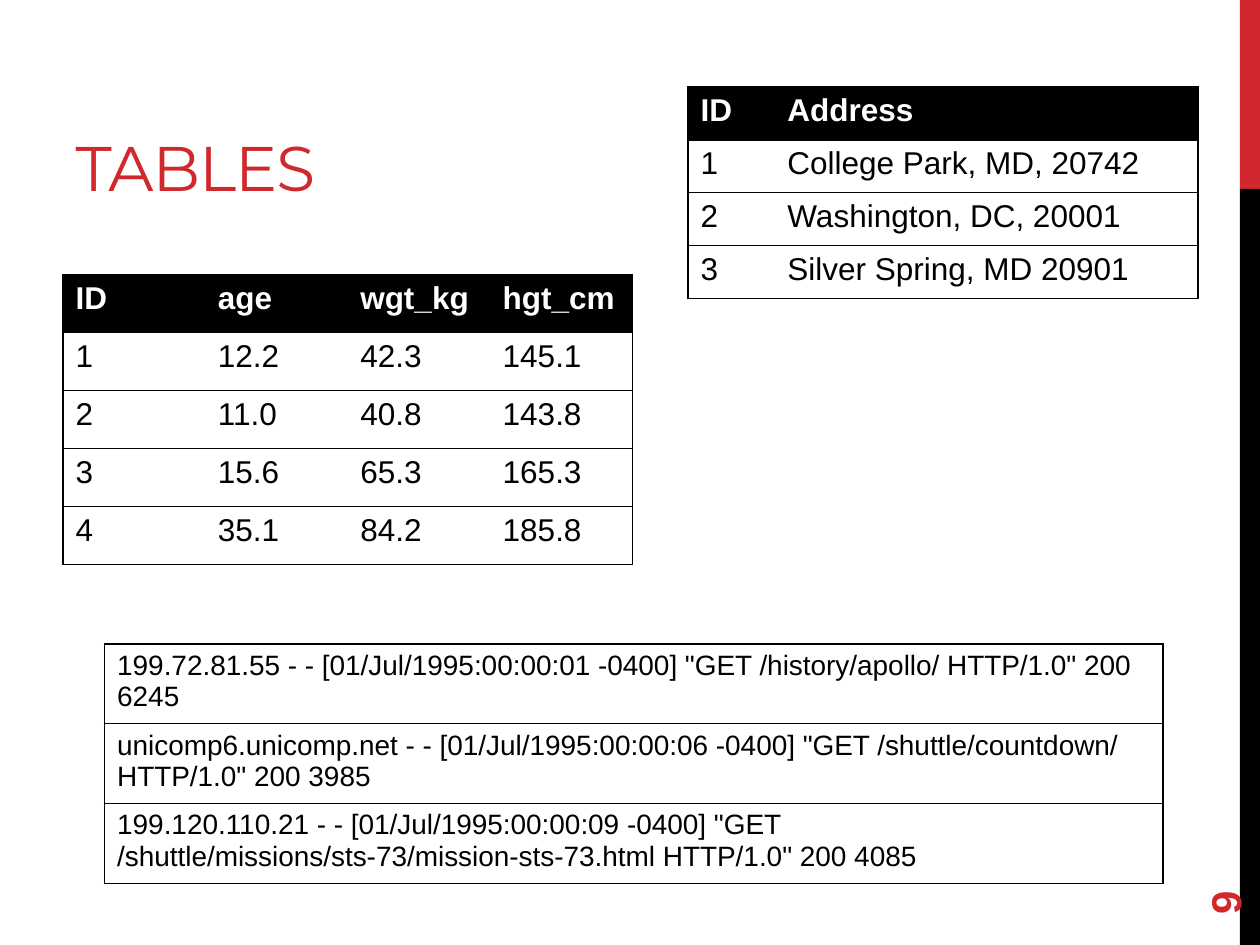
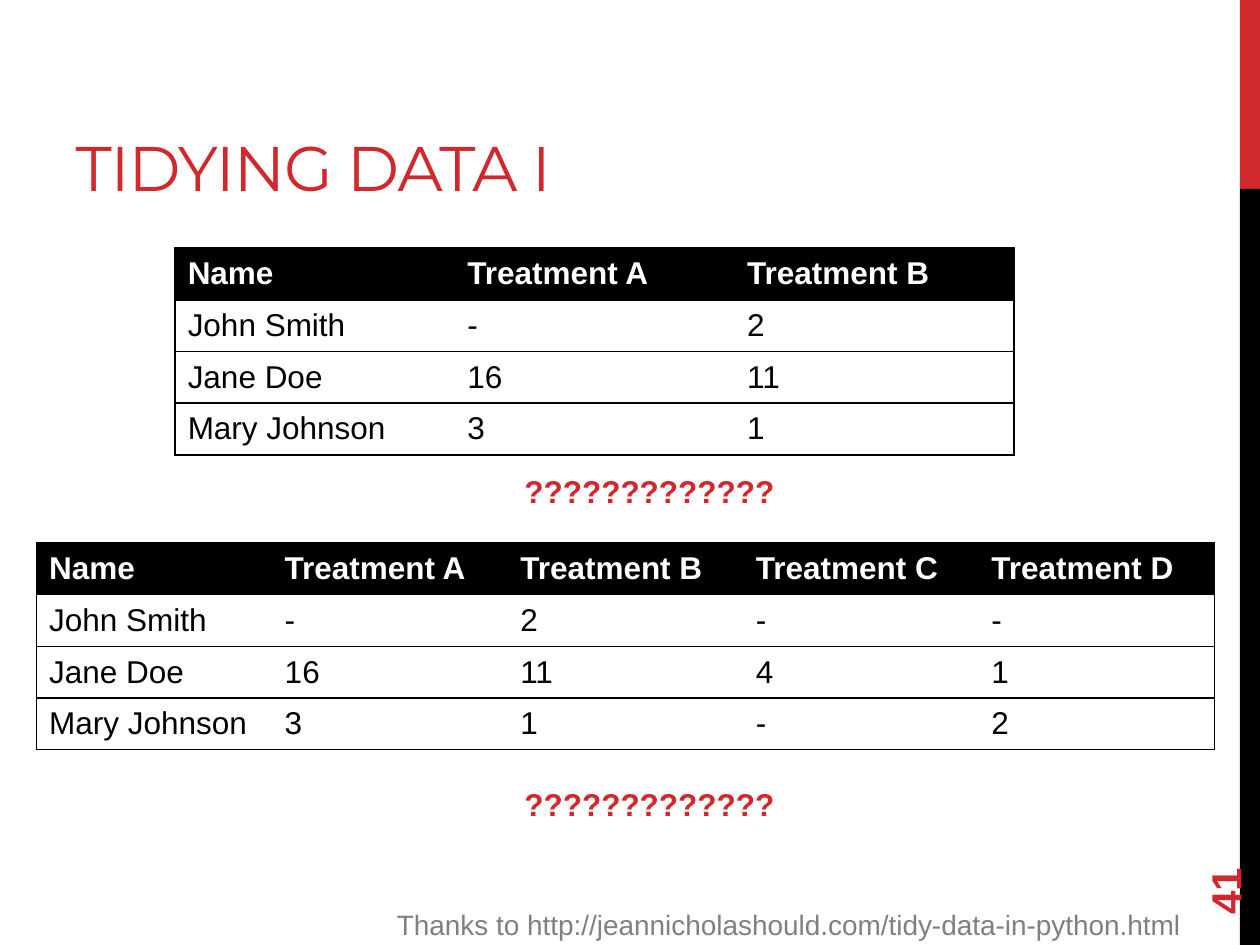
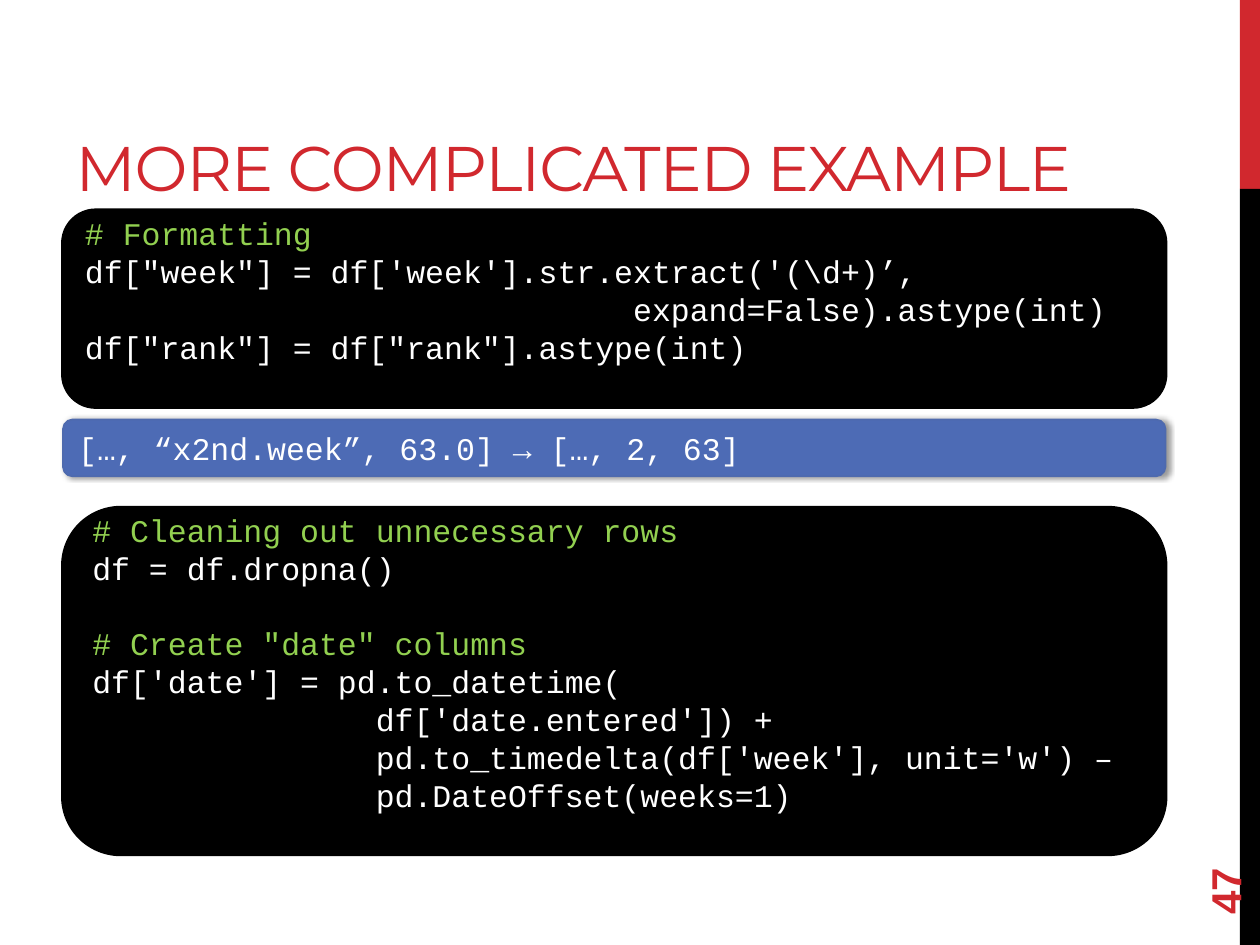
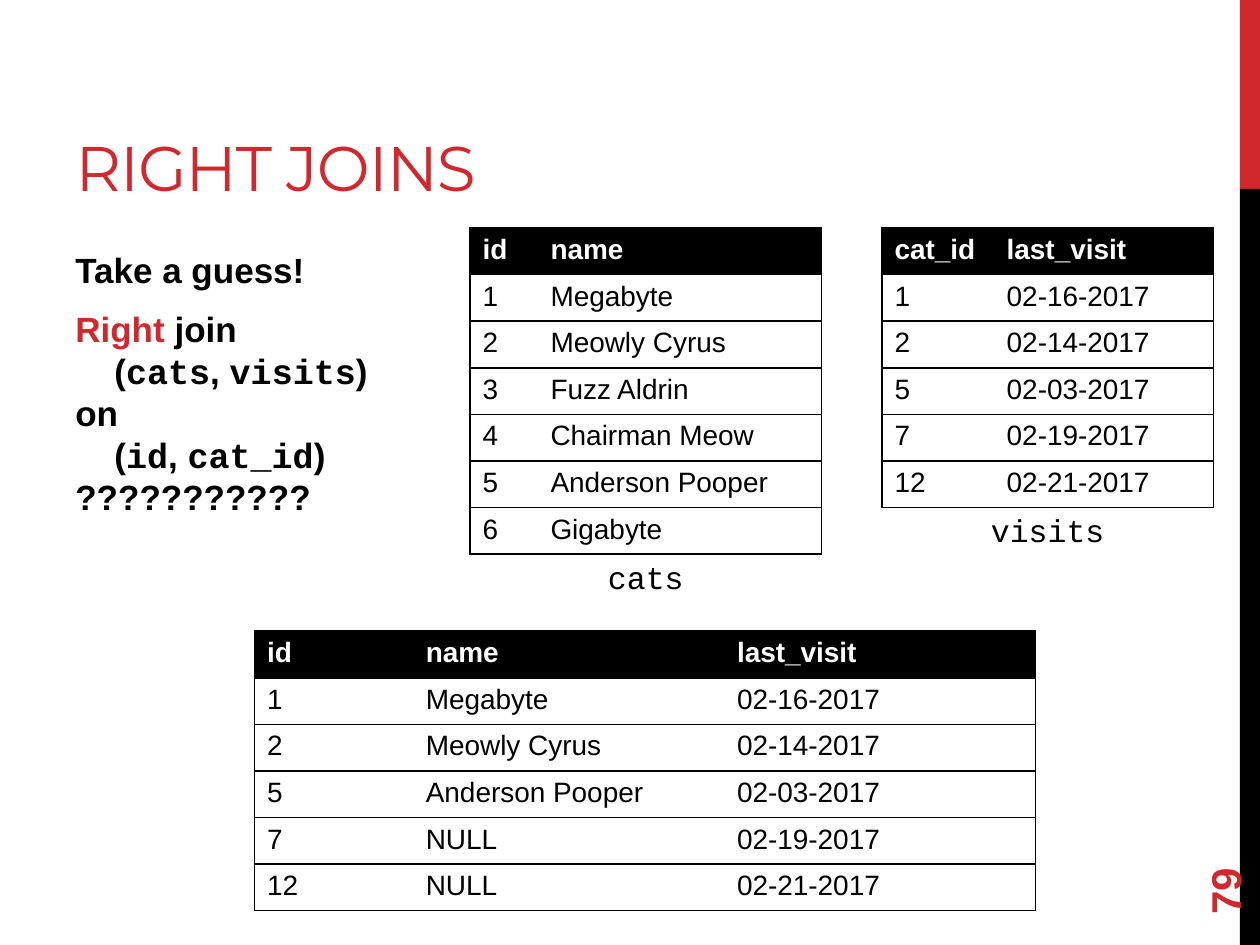
import dataclasses

import lxml.etree
import pptx
import pptx.dml.color
import pptx.enum.shapes
import pptx.enum.text
import pptx.oxml.ns
import pptx.util

Inches = pptx.util.Inches
Pt = pptx.util.Pt
qn = pptx.oxml.ns.qn
ALIGN = pptx.enum.text.PP_ALIGN
ANCHOR = pptx.enum.text.MSO_ANCHOR
FIT = pptx.enum.text.MSO_AUTO_SIZE
SHAPE = pptx.enum.shapes.MSO_SHAPE


@dataclasses.dataclass(frozen=True)
class Theme:
    red: str = "D1282E"
    black: str = "000000"
    white: str = "FFFFFF"
    gray: str = "808080"
    green: str = "92D050"
    blue: str = "4D6BB5"
    blue_edge: str = "4E6AAE"
    title_font: str = "Montserrat"
    text_font: str = "Arial"
    code_font: str = "Courier New"
    title_size: int = 36
    number_size: int = 24
    lead_size: int = 20
    body_size: int = 18
    small_size: int = 16


theme = Theme()
rgb = pptx.dml.color.RGBColor.from_string


def write(frame, lines, size=theme.body_size, font=theme.text_font, color=theme.black,
          bold=False, align=ALIGN.LEFT, anchor=ANCHOR.TOP):
    """Fill a frame; a line is a list of (text, changes) runs."""
    frame.word_wrap = True
    frame.vertical_anchor = anchor
    for index, line in enumerate(lines):
        para = frame.paragraphs[0] if index == 0 else frame.add_paragraph()
        para.alignment = align
        for text, changes in line:
            span = para.add_run()
            span.text = text
            span.font.size = Pt(size)
            span.font.bold = bold
            span.font.name = changes.get("font", font)
            span.font.color.rgb = rgb(changes.get("color", color))


def add_grid(page, left, top, widths, row_height, rows, size=theme.body_size,
             header=True, anchor=ANCHOR.TOP):
    """Add a table with a black header, row rules and an outer frame."""
    table = page.shapes.add_table(
        len(rows), len(widths), Inches(left), Inches(top),
        Inches(sum(widths)), Inches(row_height * len(rows))).table
    table.first_row = header
    table.horz_banding = False
    for column, width in zip(table.columns, widths):
        column.width = Inches(width)
    for r, row in enumerate(rows):
        table.rows[r].height = Inches(row_height)
        for c, text in enumerate(row):
            cell = table.cell(r, c)
            is_head = header and r == 0
            write(cell.text_frame, [[(text, {})]], size, bold=is_head,
                  color=theme.white if is_head else theme.black)
            cell.vertical_anchor = anchor
            # Borders come before the fill
            visible = {"lnL": c == 0, "lnR": c == len(widths) - 1, "lnT": True, "lnB": True}
            for side, shown in visible.items():
                edge = lxml.etree.SubElement(cell._tc.get_or_add_tcPr(), qn("a:" + side),
                                             w=str(Pt(1)))
                paint = lxml.etree.SubElement(edge, qn("a:solidFill" if shown else "a:noFill"))
                if shown:
                    lxml.etree.SubElement(paint, qn("a:srgbClr"), val=theme.black)
            if is_head:
                cell.fill.solid()
                cell.fill.fore_color.rgb = rgb(theme.black)
            else:
                cell.fill.background()


deck = pptx.Presentation()
deck.slide_width, deck.slide_height = Inches(10), Inches(7.5)

# Pages with title and page number
pages = []
for title_text, title_width, number in [
        ("TABLES", 7.96, "9"), ("TIDYING DATA I", 6.33, "41"),
        ("MORE COMPLICATED EXAMPLE", 8.75, "47"), ("RIGHT JOINS", 6.33, "79")]:
    page = deck.slides.add_slide(deck.slide_layouts[5])
    pages.append(page)
    title = page.shapes.title
    title.left, title.top = Inches(0.5), Inches(0.17)
    title.width, title.height = Inches(title_width), Inches(1.5)
    write(title.text_frame, [[(title_text, {})]], theme.title_size, theme.title_font,
          theme.red, anchor=ANCHOR.BOTTOM)
    title.text_frame.auto_size = FIT.NONE
    for properties in title.element.iter(qn("a:rPr")):
        properties.set("spc", "-60")
    box = page.shapes.add_textbox(Inches(9), Inches(6.44), Inches(1.44), Inches(0.4))
    box.rotation = 270
    write(box.text_frame, [[(number, {})]], theme.number_size, color=theme.red, bold=True,
          anchor=ANCHOR.MIDDLE)
tables_page, tidying_page, example_page, joins_page = pages

# Side bands, moved to the back of the slide master
for position, (top, height, color) in enumerate([(0, 1.5, theme.red), (1.5, 6, theme.black)]):
    band = tables_page.shapes.add_shape(SHAPE.RECTANGLE, Inches(9.84), Inches(top),
                                        Inches(0.16), Inches(height))
    band.shadow.inherit = False
    band.fill.solid()
    band.fill.fore_color.rgb = rgb(color)
    band.line.fill.background()
    deck.slide_master.shapes.element.insert(2 + position, band.element)

# Tables
add_grid(tables_page, 0.5, 2.18, [1.13] * 4, 0.46, [
    ("ID", "age", "wgt_kg", "hgt_cm"),
    ("1", "12.2", "42.3", "145.1"),
    ("2", "11.0", "40.8", "143.8"),
    ("3", "15.6", "65.3", "165.3"),
    ("4", "35.1", "84.2", "185.8")])
add_grid(tables_page, 5.46, 0.69, [0.69, 3.36], 0.42, [
    ("ID", "Address"),
    ("1", "College Park, MD, 20742"),
    ("2", "Washington, DC, 20001"),
    ("3", "Silver Spring, MD 20901")])
add_grid(tables_page, 0.83, 5.11, [8.4], 0.59, [
    ('199.72.81.55 - - [01/Jul/1995:00:00:01 -0400] "GET /history/apollo/ HTTP/1.0" 200 6245',),
    ('unicomp6.unicomp.net - - [01/Jul/1995:00:00:06 -0400] '
     '"GET /shuttle/countdown/ HTTP/1.0" 200 3985',),
    ('199.120.110.21 - - [01/Jul/1995:00:00:09 -0400] '
     '"GET /shuttle/missions/sts-73/mission-sts-73.html HTTP/1.0" 200 4085',)],
    theme.small_size, header=False)

# Tidying data
add_grid(tidying_page, 1.39, 1.97, [2.22] * 3, 0.41, [
    ("Name", "Treatment A", "Treatment B"),
    ("John Smith", "-", "2"),
    ("Jane Doe", "16", "11"),
    ("Mary Johnson", "3", "1")], anchor=ANCHOR.MIDDLE)
add_grid(tidying_page, 0.29, 4.31, [1.87] * 5, 0.41, [
    ("Name", "Treatment A", "Treatment B", "Treatment C", "Treatment D"),
    ("John Smith", "-", "2", "-", "-"),
    ("Jane Doe", "16", "11", "4", "1"),
    ("Mary Johnson", "3", "1", "-", "2")], anchor=ANCHOR.MIDDLE)
for top in (3.7, 6.18):
    question = tidying_page.shapes.add_textbox(Inches(3.36), Inches(top), Inches(3.59), Inches(0.4))
    write(question.text_frame, [[("?????????????", {})]], color=theme.red, bold=True,
          align=ALIGN.CENTER)
    question.text_frame.auto_size = FIT.SHAPE_TO_FIT_TEXT
credit = tidying_page.shapes.add_textbox(Inches(2.89), Inches(7.15), Inches(6.58), Inches(0.37))
write(credit.text_frame, [[("Thanks to http://jeannicholashould.com/tidy-data-in-python.html", {})]],
      theme.small_size, color=theme.gray, align=ALIGN.RIGHT)
credit.text_frame.auto_size = FIT.SHAPE_TO_FIT_TEXT

# More complicated example: code panels and the result bar
formatting_code = [
    "# Formatting",
    "df[\"week\"] = df['week'].str.extract('(\\d+)’,",
    "                             expand=False).astype(int)",
    'df["rank"] = df["rank"].astype(int)']
cleaning_code = [
    "# Cleaning out unnecessary rows",
    "df = df.dropna()",
    '# Create "date" columns',
    "df['date'] = pd.to_datetime(",
    "               df['date.entered']) +",
    "               pd.to_timedelta(df['week'], unit='w') –",
    "               pd.DateOffset(weeks=1)"]
result = ["[…, “x2nd.week”, 63.0] → […, 2, 63]"]
for top, height, code, fill, edge, edge_width, bottom_margin in [
        (1.67, 1.56, formatting_code, theme.black, theme.black, 2.25, 0.35),
        (4.03, 2.75, cleaning_code, theme.black, theme.black, 2.25, 0.35),
        (3.33, 0.45, result, theme.blue, theme.blue_edge, 1, 0.05)]:
    panel = example_page.shapes.add_shape(SHAPE.ROUNDED_RECTANGLE, Inches(0.5), Inches(top),
                                          Inches(8.75), Inches(height))
    panel.shadow.inherit = False
    panel.fill.solid()
    panel.fill.fore_color.rgb = rgb(fill)
    panel.line.color.rgb = rgb(edge)
    panel.line.width = Pt(edge_width)
    panel.text_frame.margin_bottom = Inches(bottom_margin)
    write(panel.text_frame,
          [[(line, {"color": theme.green if line.startswith("#") else theme.white})]
           for line in code],
          font=theme.code_font, anchor=ANCHOR.MIDDLE)
    # A later comment starts a new block of code
    for para in panel.text_frame.paragraphs[1:]:
        if para.text.startswith("#"):
            para.space_before = Pt(21.7)
# Soft shadow of the result bar, the last panel
effects = panel.element.spPr.find(qn("a:effectLst"))
shadow = lxml.etree.SubElement(effects, qn("a:outerShdw"), blurRad=str(Pt(3.1)),
                               dist=str(Pt(1.8)), dir="0", rotWithShape="0")
shade = lxml.etree.SubElement(shadow, qn("a:srgbClr"), val=theme.black)
lxml.etree.SubElement(shade, qn("a:alpha"), val="40000")

# Right joins: the guess
mono = {"font": theme.code_font}
guess = joins_page.shapes.add_textbox(Inches(0.5), Inches(1.92), Inches(8.33), Inches(4.78))
write(guess.text_frame, [
    [("Take a guess!", {})],
    [("Right", {"color": theme.red}), (" join", {})],
    [("(", {}), ("cats", mono), (", ", {}), ("visits", mono), (")", {})],
    [("on", {})],
    [("(", {}), ("id", mono), (", ", {}), ("cat_id", mono), (")", {})],
    [("???????????", {})]], theme.lead_size, bold=True)
guess.text_frame.paragraphs[0].space_after = Pt(10)
for para in guess.text_frame.paragraphs:
    if para.text.startswith("("):
        para._p.get_or_add_pPr().set("marL", str(Inches(0.31)))

# Right joins: the two inputs with their names, and the joined table
add_grid(joins_page, 3.73, 1.81, [0.54, 2.25], 0.37, [
    ("id", "name"),
    ("1", "Megabyte"),
    ("2", "Meowly Cyrus"),
    ("3", "Fuzz Aldrin"),
    ("4", "Chairman Meow"),
    ("5", "Anderson Pooper"),
    ("6", "Gigabyte")], theme.small_size)
add_grid(joins_page, 7, 1.81, [0.89, 1.74], 0.37, [
    ("cat_id", "last_visit"),
    ("1", "02-16-2017"),
    ("2", "02-14-2017"),
    ("5", "02-03-2017"),
    ("7", "02-19-2017"),
    ("12", "02-21-2017")], theme.small_size)
for name, left, top, width in [("cats", 3.73, 4.38, 2.79), ("visits", 7, 4.01, 2.63)]:
    label = joins_page.shapes.add_textbox(Inches(left), Inches(top), Inches(width), Inches(0.4))
    write(label.text_frame, [[(name, mono)]], align=ALIGN.CENTER)
    label.text_frame.auto_size = FIT.SHAPE_TO_FIT_TEXT
add_grid(joins_page, 2.02, 5.01, [1.26, 2.47, 2.47], 0.37, [
    ("id", "name", "last_visit"),
    ("1", "Megabyte", "02-16-2017"),
    ("2", "Meowly Cyrus", "02-14-2017"),
    ("5", "Anderson Pooper", "02-03-2017"),
    ("7", "NULL", "02-19-2017"),
    ("12", "NULL", "02-21-2017")], theme.small_size)

deck.save("out.pptx")
